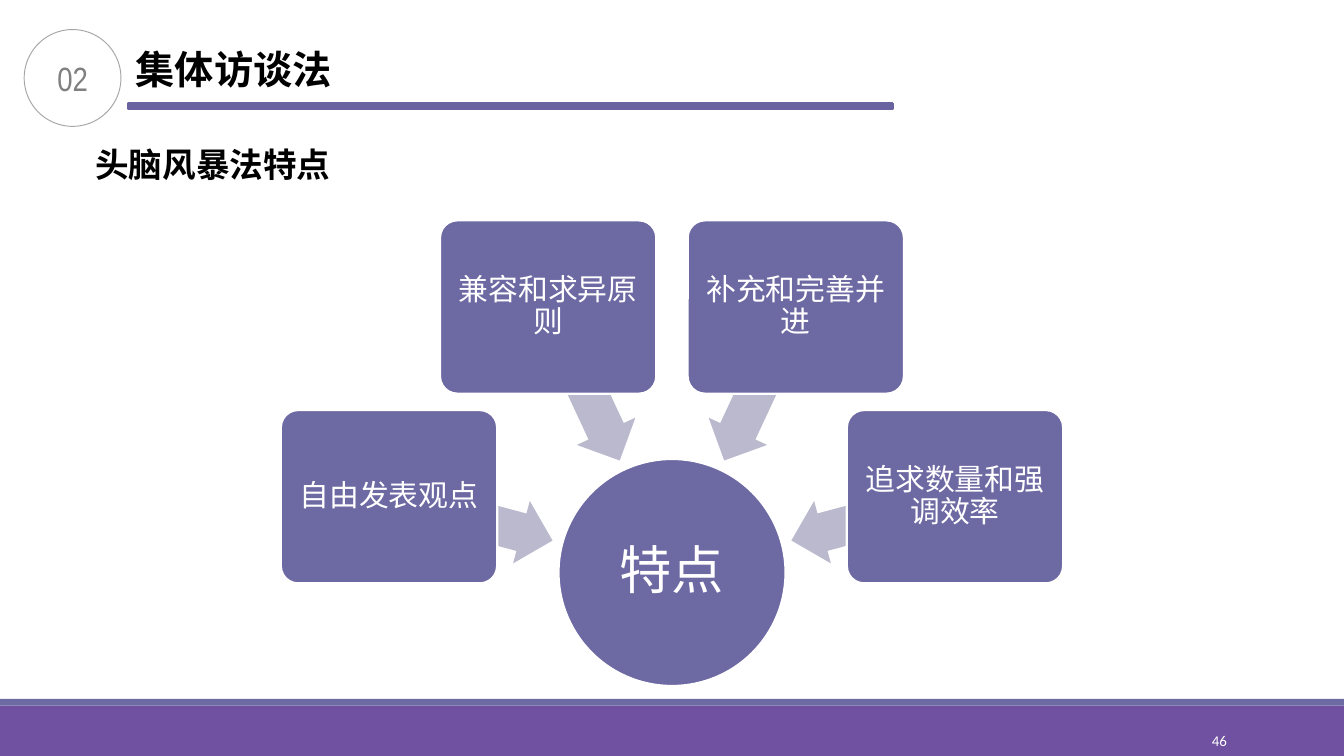
import math

import pptx
import pptx.dml.color
import pptx.enum.shapes
import pptx.enum.text
import pptx.oxml
import pptx.oxml.ns
import pptx.util

Inches = pptx.util.Inches
Pt = pptx.util.Pt
SHAPE = pptx.enum.shapes.MSO_SHAPE
ALIGN = pptx.enum.text.PP_ALIGN
ANCHOR = pptx.enum.text.MSO_ANCHOR

COLORS = {
    "purple": "6D69A3", "rule": "6964A0", "footer": "7050A0", "arrow": "BAB9CE",
    "white": "FFFFFF", "black": "000000", "ring": "A6A6A6", "number": "808080",
}
CJK_FONT = "Noto Sans CJK SC"


def rgb(name):
    return pptx.dml.color.RGBColor.from_string(COLORS[name])


def add_shape(slide, kind, box, fill=None, line=None, line_width=1.25):
    shape = slide.shapes.add_shape(kind, *map(Inches, box))
    shape.shadow.inherit = False
    if fill:
        shape.fill.solid()
        shape.fill.fore_color.rgb = rgb(fill)
    else:
        shape.fill.background()
    if line:
        shape.line.color.rgb = rgb(line)
        shape.line.width = Pt(line_width)
    else:
        shape.line.fill.background()
    return shape


def write(shape, text, size, font, color, align=ALIGN.LEFT, anchor=ANCHOR.MIDDLE,
          insets=(0.07, 0.04), bold=False, spacing=None, wrap=True):
    """Fill a shape with one paragraph of one run and return the paragraph."""
    frame = shape.text_frame
    frame.word_wrap = wrap
    frame.vertical_anchor = anchor
    frame.margin_left = frame.margin_right = Inches(insets[0])
    frame.margin_top = frame.margin_bottom = Inches(insets[1])
    if not wrap:
        frame.auto_size = pptx.enum.text.MSO_AUTO_SIZE.SHAPE_TO_FIT_TEXT
    paragraph = frame.paragraphs[0]
    paragraph.alignment = align
    if spacing:
        paragraph.line_spacing = spacing
    run = paragraph.add_run()
    run.text = text
    run.font.size = Pt(size)
    run.font.name = font
    run.font.bold = bold
    run.font.color.rgb = rgb(color)
    east_asian = pptx.oxml.parse_xml(
        f'<a:ea {pptx.oxml.ns.nsdecls("a")} typeface="{CJK_FONT}"/>')
    run.font._element.find(pptx.oxml.ns.qn("a:latin")).addnext(east_asian)
    return paragraph


def add_footer(slide, left, top, width, height):
    stripe = 0.05
    add_shape(slide, SHAPE.RECTANGLE, (left, top + stripe, width, height - stripe), "footer")
    add_shape(slide, SHAPE.RECTANGLE, (left, top, width, stripe), "purple")
    page = slide.shapes.add_textbox(
        *map(Inches, (left + 8.12, top + 0.16, 1.08, 0.3)))
    write(page, "46", 8, "Calibri", "white", ALIGN.RIGHT)


def add_header(slide, left, top):
    add_shape(slide, SHAPE.RECTANGLE, (left + 0.77, top + 0.55, 5.69, 0.04), "rule", "rule")
    badge = add_shape(slide, SHAPE.OVAL, (left, top, 0.72, 0.72), line="ring", line_width=0.5)
    write(badge, "02", 18, "Arial Narrow", "number", ALIGN.CENTER)
    title = slide.shapes.add_textbox(
        *map(Inches, (left + 0.76, top + 0.08, 1.63, 0.43)))
    write(title, "集体访谈法", 21, CJK_FONT, "black",
          anchor=ANCHOR.TOP, bold=True, wrap=False)


def add_subtitle(slide, left, top, width, height):
    subtitle = slide.shapes.add_textbox(*map(Inches, (left, top, width, height)))
    paragraph = write(subtitle, "头脑风暴法特点", 18, "Times New Roman", "black",
                      ALIGN.JUSTIFY, ANCHOR.TOP, (0.1, 0.05), True, 1.25, False)
    properties = paragraph._p.get_or_add_pPr()
    properties.set("marL", "0")
    properties.set("indent", str(Inches(0.29)))


def add_radial_diagram(slide, center_x, center_y, hub, features):
    """Place feature cards on an arc, each with an arrow pointing at the hub."""
    hub_size, card_width, card_height = 1.69, 1.61, 1.29
    arrow_width, arrow_height = 1.26, 0.48
    arrow_radius, card_radius = 1.55, 2.18
    first_angle, step = 195, 50

    def box_at(radius, angle, width, height):
        turn = math.radians(angle)
        return (center_x + radius * math.cos(turn) - width / 2,
                center_y + radius * math.sin(turn) - height / 2, width, height)

    circle = add_shape(slide, SHAPE.OVAL, box_at(0, 0, hub_size, hub_size), "purple", "white")
    write(circle, hub, 28, "Calibri", "white", ALIGN.CENTER, insets=(0.02, 0.02), spacing=0.9)
    for index, feature in enumerate(features):
        angle = first_angle + index * step
        arrow = add_shape(slide, SHAPE.LEFT_ARROW,
                          box_at(arrow_radius, angle, arrow_width, arrow_height), "arrow")
        arrow.adjustments[0] = 0.6
        arrow.adjustments[1] = 0.5
        arrow.rotation = angle
        card = add_shape(slide, SHAPE.ROUNDED_RECTANGLE,
                         box_at(card_radius, angle, card_width, card_height),
                         "purple", "white")
        card.adjustments[0] = 0.1
        write(card, feature, 16, "Calibri", "white", ALIGN.CENTER,
              insets=(0.03, 0.03), spacing=0.9)


def main():
    deck = pptx.Presentation()
    deck.slide_width = Inches(10)
    deck.slide_height = Inches(10) * 9 // 16
    slide = deck.slides.add_slide(deck.slide_layouts[6])
    add_footer(slide, 0, 5.2, 10, 0.43)
    add_header(slide, 0.18, 0.22)
    add_radial_diagram(slide, 5, 4.26, "特点", [
        "自由发表观点", "兼容和求异原则", "补充和完善并进", "追求数量和强调效率"])
    add_subtitle(slide, 0.32, 0.95, 2.28, 0.45)
    deck.save("out.pptx")


if __name__ == "__main__":
    main()
